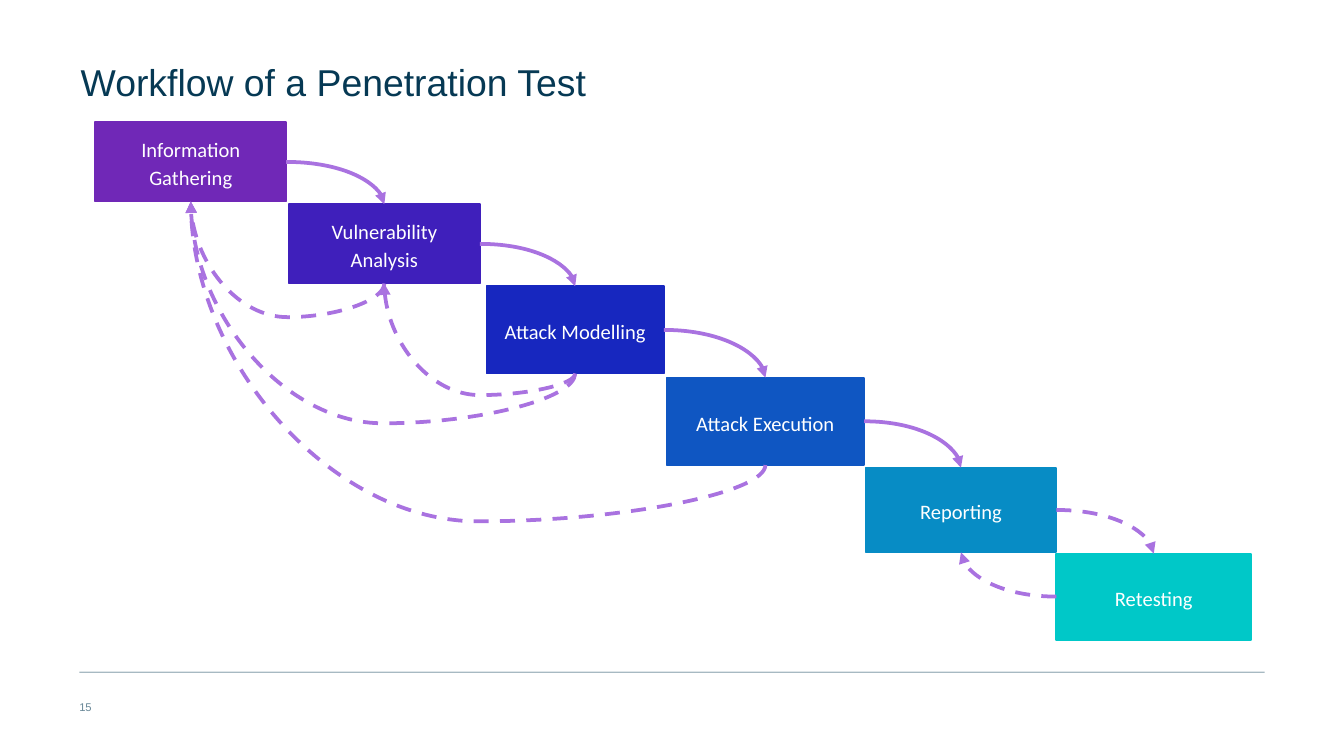
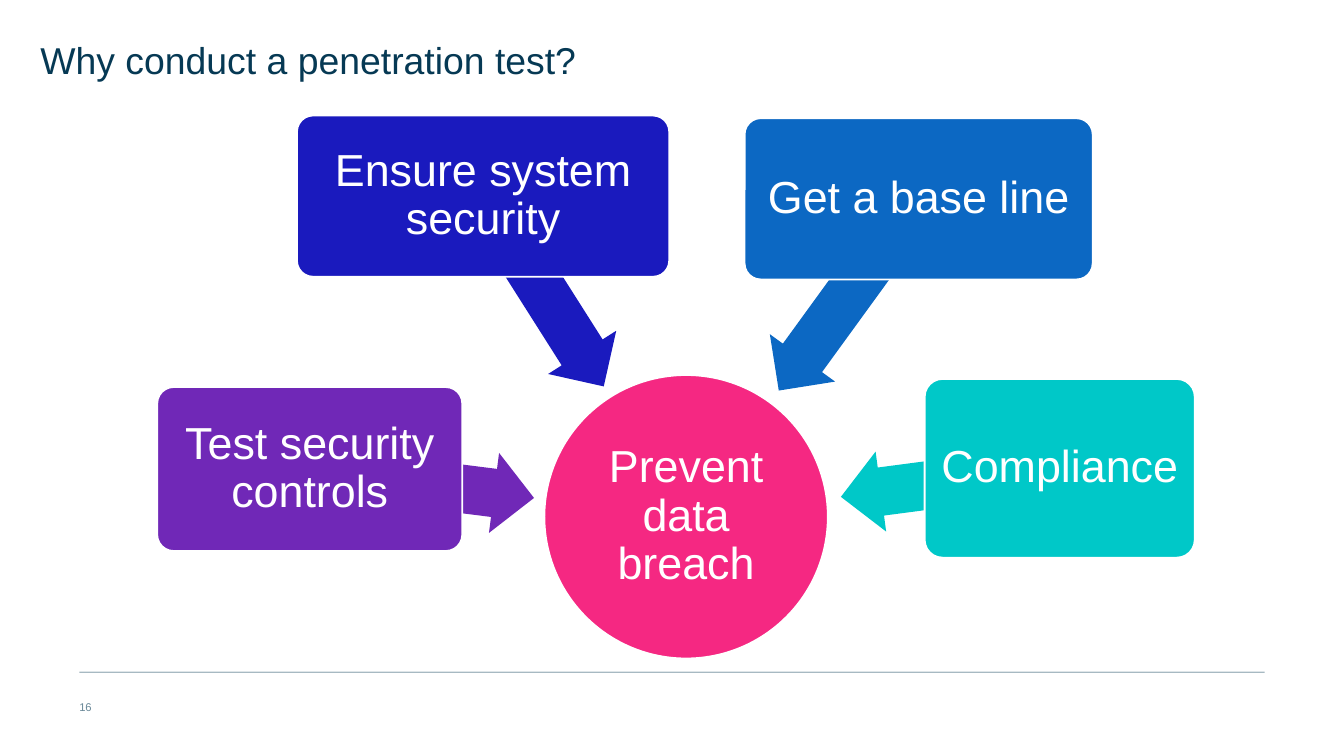
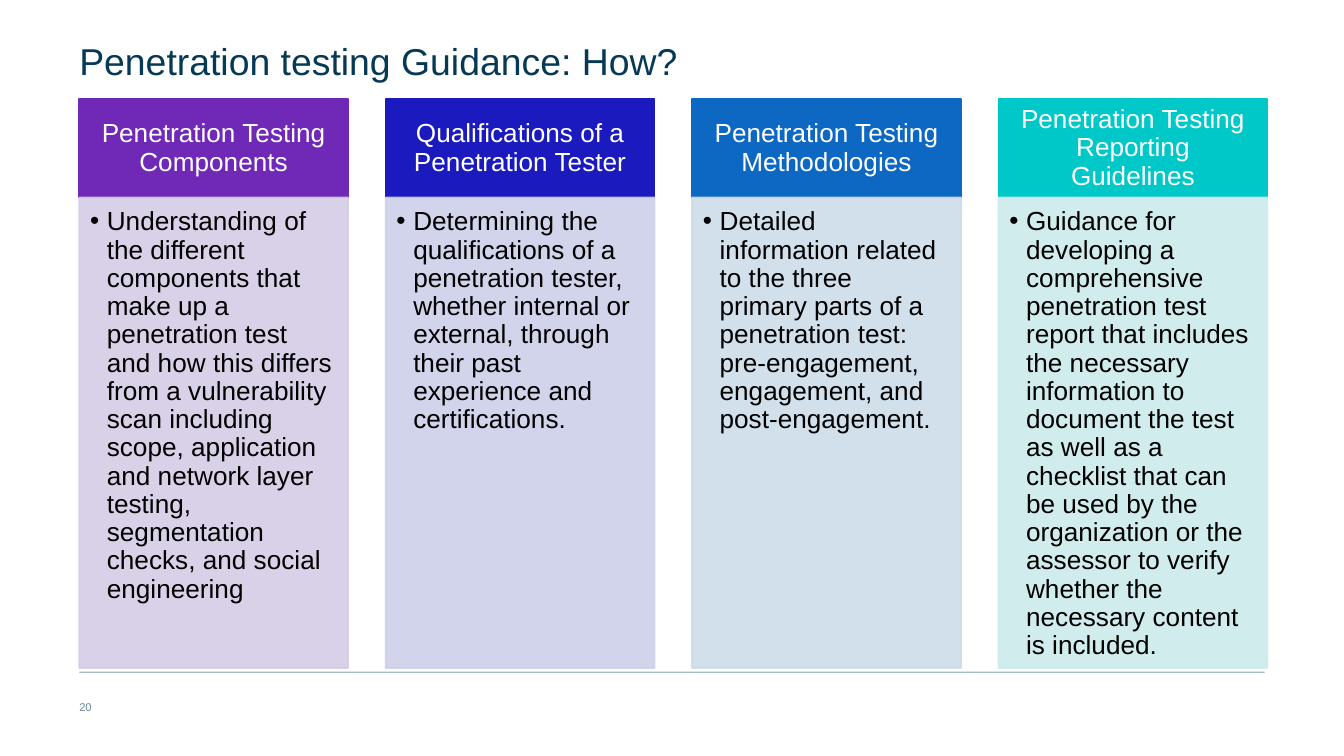
import pptx
import pptx.util
import pptx.dml.color
import pptx.enum.dml
import pptx.enum.shapes
import pptx.enum.text
import pptx.oxml.ns
from lxml import etree

Inches, Pt = pptx.util.Inches, pptx.util.Pt
RGB = pptx.dml.color.RGBColor.from_string
SHAPE = pptx.enum.shapes.MSO_SHAPE
CURVE = pptx.enum.shapes.MSO_CONNECTOR.CURVE
DASH = pptx.enum.dml.MSO_LINE.DASH
ANCHOR = pptx.enum.text.MSO_ANCHOR
ALIGN = pptx.enum.text.PP_ALIGN
qn = pptx.oxml.ns.qn

THEME = {
    "navy": "063954", "number": "698898", "white": "FFFFFF", "black": "000000",
    "curve": "A972E0", "hub": "F52882",
    "accents": ["7028B7", "1A1ABE", "0C68C3", "00C8C8"],
    "tints": ["D5CDE6", "CDD0E8", "CCDDE9", "CCEBEB"],
    "steps": ["7028B7", "3F1FBB", "1727BF", "0F56C2", "078CC5", "00C8C8"],
}
FONTS = {
    "title": {"name": "Arial", "size": Pt(20), "color": THEME["navy"]},
    "number": {"name": "Arial", "size": Pt(6), "color": THEME["number"]},
    "step": {"name": "Calibri", "size": Pt(11), "color": THEME["white"]},
    "reason": {"name": "Arial", "size": Pt(24), "color": THEME["white"]},
    "head": {"name": "Arial", "size": Pt(14), "color": THEME["white"]},
    "body": {"name": "Arial", "size": Pt(14), "color": THEME["black"]},
}
PARAGRAPHS = {
    "title": {"line_spacing": 1.1},
    "number": {},
    "step": {"alignment": ALIGN.CENTER, "line_spacing": Pt(15)},
    "reason": {"alignment": ALIGN.CENTER, "line_spacing": 0.9},
    "head": {"alignment": ALIGN.CENTER, "line_spacing": 0.9},
    "body": {"alignment": ALIGN.LEFT, "line_spacing": 0.9},
}
INSETS = {
    "title": (0, 0, 0, 0), "number": (0, 0, 0, 0), "step": (0.1, 0.05, 0.1, 0.05),
    "reason": (0.05, 0.05, 0.05, 0.05), "head": (0.11, 0.06, 0.11, 0.06),
    "body": (0.08, 0.08, 0.11, 0.12),
}
TOP_ANCHORED = ("title", "number", "body")

STEPS = [
    ("Information Gathering", (0.71, 0.91, 1.42, 0.59)),
    ("Vulnerability\nAnalysis", (2.15, 1.52, 1.42, 0.59)),
    ("Attack Modelling", (3.62, 2.13, 1.32, 0.65)),
    ("Attack Execution", (4.96, 2.81, 1.47, 0.65)),
    ("Reporting", (6.44, 3.48, 1.42, 0.63)),
    ("Retesting", (7.86, 4.12, 1.45, 0.64)),
]
LOOPS = [(2, 1, 0.16), (1, 0, 0.25), (2, 0, 0.37), (3, 0, 0.42)]

HUB = ("Prevent data breach", (4.05, 2.79, 2.11, 2.11))
REASONS = [
    ("Test security controls", (1.17, 2.88, 2.27, 1.22), (2.3, 3.3, 1.68, 0.6), 187.2),
    ("Ensure system security", (2.21, 0.86, 2.77, 1.2), (3.21, 1.87, 1.67, 0.6), 237.6),
    ("Get a base line", (5.54, 0.88, 2.59, 1.2), (5.43, 1.89, 1.77, 0.6), 306),
    ("Compliance", (6.88, 2.82, 2.01, 1.33), (6.25, 3.29, 1.64, 0.6), 352.5),
]

GUIDANCE = [
    ("Penetration Testing Components",
     "Understanding of the different components that make up a penetration test and how this "
     "differs from a vulnerability scan including scope, application and network layer testing, "
     "segmentation checks, and social engineering"),
    ("Qualifications of a Penetration Tester",
     "Determining the qualifications of a penetration tester, whether internal or external, "
     "through their past experience and certifications."),
    ("Penetration Testing Methodologies",
     "Detailed information related to the three primary parts of a penetration test: "
     "pre-engagement, engagement, and post-engagement."),
    ("Penetration Testing Reporting Guidelines",
     "Guidance for developing a comprehensive penetration test report that includes the "
     "necessary information to document the test as well as a checklist that can be used by the "
     "organization or the assessor to verify whether the necessary content is included."),
]


def inches(values):
    return [Inches(v) for v in values]


def write(sp, text, style, bullet=False):
    tf = sp.text_frame
    tf.word_wrap = True
    tf.vertical_anchor = ANCHOR.TOP if style in TOP_ANCHORED else ANCHOR.MIDDLE
    for side, value in zip(("left", "top", "right", "bottom"), INSETS[style]):
        setattr(tf, "margin_" + side, Inches(value))
    for i, line in enumerate(text.split("\n")):
        p = tf.paragraphs[0] if i == 0 else tf.add_paragraph()
        if bullet:
            pPr = p._p.get_or_add_pPr()
            pPr.set("marL", str(Pt(9)))
            pPr.set("indent", str(-Pt(9)))
            etree.SubElement(pPr, qn("a:buFont")).set("typeface", "Arial")
            etree.SubElement(pPr, qn("a:buChar")).set("char", "•")
        for key, value in PARAGRAPHS[style].items():
            setattr(p, key, value)
        r = p.add_run()
        r.text = line
        for key, value in FONTS[style].items():
            if key == "color":
                r.font.color.rgb = RGB(value)
            else:
                setattr(r.font, key, value)


def add_text(s, box, text, style):
    write(s.shapes.add_textbox(*inches(box)), text, style)


def add_box(s, kind, box, fill, line=None, alpha=None):
    sp = s.shapes.add_shape(kind, *inches(box))
    sp.shadow.inherit = False
    sp.fill.solid()
    sp.fill.fore_color.rgb = RGB(fill)
    if line:
        sp.line.color.rgb = RGB(line)
        sp.line.width = Pt(1)
    else:
        sp.line.fill.background()
    if alpha:
        for color in sp._element.spPr.iter(qn("a:srgbClr")):
            etree.SubElement(color, qn("a:alpha")).set("val", str(alpha * 1000))
    return sp


def add_curve(s, begin, end, preset, dashed):
    c = s.shapes.add_connector(CURVE, *inches(begin + end))
    c.line.color.rgb = RGB(THEME["curve"])
    c.line.width = Pt(2)
    if dashed:
        c.line.dash_style = DASH
    spPr = c._element.spPr
    etree.SubElement(spPr.find(qn("a:ln")), qn("a:tailEnd")).set("type", "triangle")
    etree.SubElement(spPr, qn("a:effectLst"))
    spPr.find(qn("a:prstGeom")).set("prst", preset)
    return spPr


def add_loop(s, begin, end, drop):
    (x1, y1), (x2, y2) = begin, end
    cx, cy = (x1 + x2) / 2, (y1 + y2) / 2
    half_w, half_h = (y1 - y2) / 2, (x1 - x2) / 2
    spPr = add_curve(s, (cx + half_w, cy - half_h), (cx - half_w, cy + half_h),
                     "curvedConnector3", True)
    spPr.find(qn("a:xfrm")).set("rot", str(90 * 60000))
    guides = spPr.find(qn("a:prstGeom")).get_or_add_avLst()
    gd = etree.SubElement(guides, qn("a:gd"))
    gd.set("name", "adj1")
    gd.set("fmla", f"val {round(-drop / (y1 - y2) * 100000)}")


def anchor(box, fx, fy):
    x, y, w, h = box
    return x + w * fx, y + h * fy


def add_slide(prs, title, title_box, number):
    s = prs.slides.add_slide(prs.slide_layouts[6])
    rule = add_box(s, SHAPE.RECTANGLE, (0.59, 5, 8.82, 0), THEME["navy"])
    rule.height = Pt(0.25)
    add_text(s, (0.59, 5.21, 0.2, 0.1), number, "number")
    add_text(s, title_box, title, "title")
    return s


def workflow(prs):
    s = add_slide(prs, "Workflow of a Penetration Test", (0.6, 0.41, 4.21, 0.46), "15")
    boxes = [box for _, box in STEPS]
    for (text, box), color in zip(STEPS, THEME["steps"]):
        write(add_box(s, SHAPE.RECTANGLE, box, color, color), text, "step")
    last = len(boxes) - 1
    for i in range(last):
        add_curve(s, anchor(boxes[i], 1, 0.5), anchor(boxes[i + 1], 0.5, 0),
                  "curvedConnector2", i + 1 == last)
    add_curve(s, anchor(boxes[last], 0, 0.5), anchor(boxes[last - 1], 0.5, 1),
              "curvedConnector2", True)
    for start, stop, drop in LOOPS:
        add_loop(s, anchor(boxes[start], 0.5, 1), anchor(boxes[stop], 0.5, 1), drop)


def reasons(prs):
    s = add_slide(prs, "Why conduct a penetration test?", (0.3, 0.24, 4.21, 0.51), "16")
    text, box = HUB
    hub = add_box(s, SHAPE.OVAL, box, THEME["hub"], THEME["white"])
    write(hub, text, "reason")
    for (text, box, arrow_box, angle), color in zip(REASONS, THEME["accents"]):
        arrow = add_box(s, SHAPE.LEFT_ARROW, arrow_box, color)
        arrow.adjustments[0], arrow.adjustments[1] = 0.6, 0.5
        arrow.rotation = angle
        card = add_box(s, SHAPE.ROUNDED_RECTANGLE, box, color, THEME["white"])
        card.adjustments[0] = 0.1
        write(card, text, "reason")


def guidance(prs):
    s = add_slide(prs, "Penetration testing Guidance: How?", (0.59, 0.25, 4.54, 1.1), "20")
    left, pitch, width = 0.59, 2.28, 2
    for i, (head, body) in enumerate(GUIDANCE):
        x = left + i * pitch
        accent, tint = THEME["accents"][i], THEME["tints"][i]
        write(add_box(s, SHAPE.RECTANGLE, (x, 0.74, width, 0.73), accent, accent), head, "head")
        column = add_box(s, SHAPE.RECTANGLE, (x, 1.47, width, 3.5), tint, tint, alpha=90)
        write(column, body, "body", bullet=True)


def main():
    prs = pptx.Presentation()
    prs.slide_width = Inches(10)
    prs.slide_height = prs.slide_width * 9 // 16
    workflow(prs)
    reasons(prs)
    guidance(prs)
    prs.save("out.pptx")


if __name__ == "__main__":
    main()
